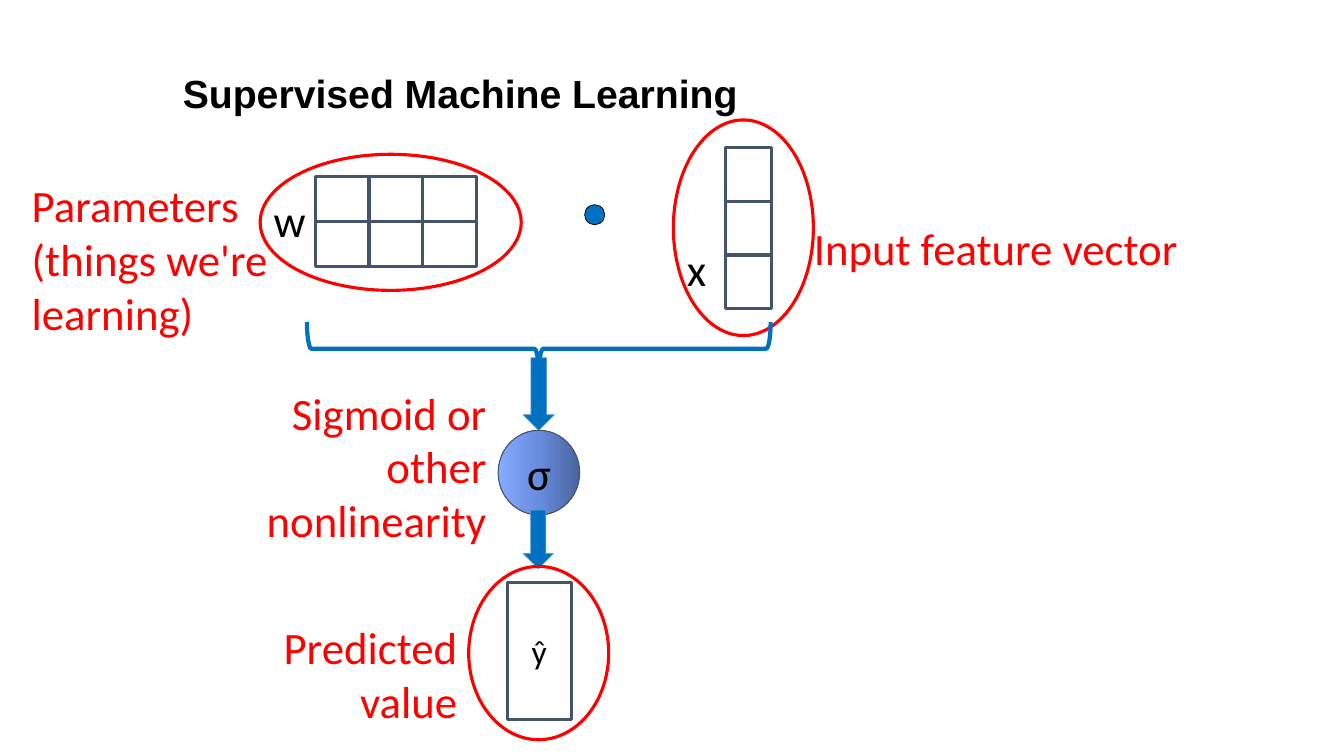
from pptx import Presentation
from pptx.dml.color import RGBColor
from pptx.enum.shapes import MSO_SHAPE
from pptx.enum.text import MSO_ANCHOR, MSO_AUTO_SIZE, PP_ALIGN
from pptx.oxml import parse_xml
from pptx.oxml.ns import nsdecls
from pptx.util import Pt

RECTANGLE, OVAL = MSO_SHAPE.RECTANGLE, MSO_SHAPE.OVAL
ARROW, BRACE = MSO_SHAPE.DOWN_ARROW, MSO_SHAPE.LEFT_BRACE
LEFT, CENTER, RIGHT = PP_ALIGN.LEFT, PP_ALIGN.CENTER, PP_ALIGN.RIGHT
TOP, MIDDLE = MSO_ANCHOR.TOP, MSO_ANCHOR.MIDDLE

COLORS = {
    "black": "000000", "white": "FFFFFF", "red": "FF0000", "blue": "0070C0",
    "slate": "44546A", "arrow edge": "5B9BD5",
}
SIGMOID_GRADIENT = [(0, "49639C"), (50, "688DDF"), (100, "85ABFF")]
INSET = 9.6

# Content: boxes are left, top, width, height in points
TITLE = "Supervised Machine Learning"
TITLE_BOX = (49, 44, 864, 73)

# Matrices: left, top, columns, rows, cell width, cell height
MATRICES = [
    (518.5, 105.2, 1, 3, 32.4, 38.5),   # input vector x
    (225.2, 126, 3, 2, 38.4, 32.2),     # weights w
]

# Shapes from back to front: kind, box, fill, line, line width, rotation
SHAPES = [
    (OVAL, (481, 85.7, 100, 154), None, "red", 2.25, 0),
    (OVAL, (417.6, 146.2, 14.4, 14.4), "blue", "black", 0.5, 0),
    (ARROW, (373.7, 255.6, 22.3, 51.8), "blue", "arrow edge", 0.5, 0),
    (OVAL, (355.8, 307.4, 58.3, 60.5), "gradient", "slate", 0.75, 0),
    (BRACE, (365.8, 83.5, 38.2, 331.2), None, "blue", 3, 270),
    (RECTANGLE, (362.2, 416.2, 46, 98), "white", "slate", 2.25, 0),
    (ARROW, (373.7, 364.3, 21.6, 41.8), "blue", "arrow edge", 0.5, 0),
    (OVAL, (334.8, 404.6, 100, 123.8), None, "red", 2.25, 0),
    (OVAL, (185.8, 110.2, 186.5, 97.2), None, "red", 2.25, 0),
]

# Labels: paragraphs, box, colour, size, alignment, anchor
LABELS = [
    (["x"], (481, 162.7, 33, 44.6), "black", 32, LEFT, TOP),
    (["w"], (185.8, 128.2, 43, 44.6), "black", 32, LEFT, TOP),
    (["σ"], (355.8, 307.4, 58.3, 60.5), "black", 32, CENTER, MIDDLE),
    (["ŷ"], (362.2, 416.2, 46, 98), "black", 24, CENTER, MIDDLE),
    (["Input feature vector"], (571.7, 148.3, 285, 60.5), "red", 32, LEFT, TOP),
    (["Predicted", "value"], (185.8, 433.4, 150.5, 60.5), "red", 32, RIGHT, TOP),
    (["Sigmoid or other nonlinearity"], (171.4, 265.7, 185.8, 60.5), "red", 32, RIGHT, TOP),
    (["Parameters", "(things we're learning)"], (13, 117.4, 252.7, 60.5), "red", 32, LEFT, TOP),
]


def color(name):
    return RGBColor.from_string(COLORS[name])


def points(box):
    return [Pt(length) for length in box]


def set_frame(frame, anchor):
    frame.word_wrap = True
    frame.auto_size = MSO_AUTO_SIZE.NONE
    frame.vertical_anchor = anchor
    frame.margin_left = frame.margin_right = Pt(INSET)
    frame.margin_top = frame.margin_bottom = Pt(INSET)


def fill_gradient(shape):
    stops = "".join(
        f'<a:gs pos="{position * 1000}"><a:srgbClr val="{value}"/></a:gs>'
        for position, value in SIGMOID_GRADIENT)
    gradient = parse_xml(
        f'<a:gradFill {nsdecls("a")} rotWithShape="1"><a:gsLst>{stops}</a:gsLst>'
        '<a:lin ang="10800000" scaled="0"/></a:gradFill>')
    shape.element.spPr.find(
        "{http://schemas.openxmlformats.org/drawingml/2006/main}prstGeom").addnext(gradient)


def add_shape(slide, kind, box, fill, line, width, rotation=0):
    shape = slide.shapes.add_shape(kind, *points(box))
    shape.shadow.inherit = False
    shape.rotation = rotation
    if fill == "gradient":
        fill_gradient(shape)
    elif fill:
        shape.fill.solid()
        shape.fill.fore_color.rgb = color(fill)
    else:
        shape.fill.background()
    shape.line.color.rgb = color(line)
    shape.line.width = Pt(width)


def add_label(slide, lines, box, color_name, size, alignment, anchor):
    frame = slide.shapes.add_textbox(*points(box)).text_frame
    set_frame(frame, anchor)
    frame.text = "\n".join(lines)
    for paragraph in frame.paragraphs:
        paragraph.alignment = alignment
        paragraph.font.name = "Calibri"
        paragraph.font.size = Pt(size)
        paragraph.font.color.rgb = color(color_name)


def add_title(slide):
    title = slide.shapes.title
    title.left, title.top, title.width, title.height = points(TITLE_BOX)
    set_frame(title.text_frame, TOP)
    title.text_frame.text = TITLE
    paragraph = title.text_frame.paragraphs[0]
    paragraph.alignment = LEFT
    paragraph.line_spacing = 0.9
    paragraph.font.name = "Arial"
    paragraph.font.size = Pt(28)
    paragraph.font.bold = True
    paragraph.font.color.rgb = color("black")
    # Hanging indent
    properties = paragraph._p.get_or_add_pPr()
    properties.set("marL", str(Pt(96)))
    properties.set("indent", str(Pt(-24)))


def main():
    presentation = Presentation()
    presentation.slide_width, presentation.slide_height = Pt(960), Pt(540)
    slide = presentation.slides.add_slide(presentation.slide_layouts[5])
    add_title(slide)

    # Matrix cells
    for left, top, columns, rows, width, height in MATRICES:
        for row in range(rows):
            for column in range(columns):
                box = (left + column * width, top + row * height, width, height)
                add_shape(slide, RECTANGLE, box, "white", "slate", 2.25)

    # Flow and highlights, then labels on top
    for shape_data in SHAPES:
        add_shape(slide, *shape_data)
    for label in LABELS:
        add_label(slide, *label)

    presentation.save("out.pptx")


if __name__ == "__main__":
    main()
